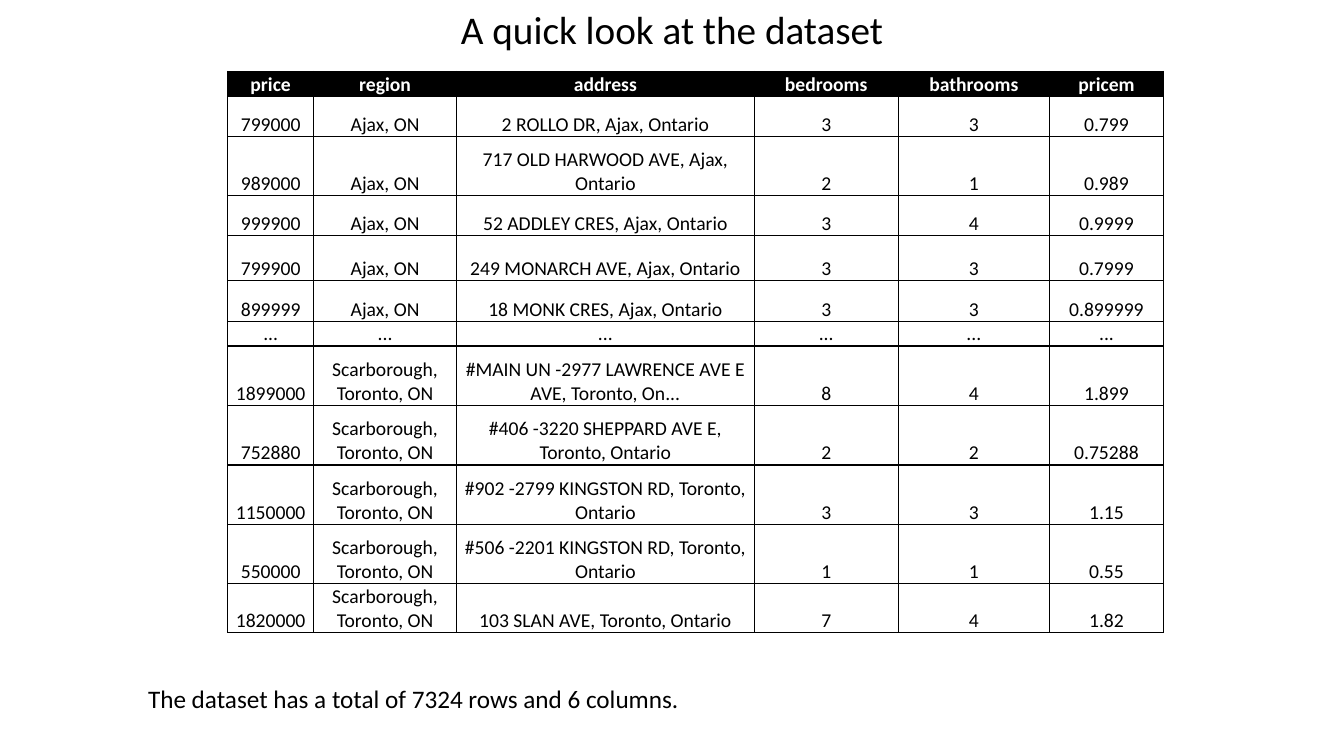
"""Build a slide that shows sample rows of a housing dataset in a table."""
from lxml import etree
from pptx import Presentation
from pptx import util as u
from pptx.dml.color import RGBColor
from pptx.enum import text
from pptx.oxml import ns

PX = 9144
BLACK, WHITE = "000000", "FFFFFF"
AJAX, SCAR = "Ajax, ON", "Scarborough, Toronto, ON"
CENTER = text.PP_ALIGN.CENTER


def hue(code):
    return RGBColor.from_string(code)


def write(frame, words, size, color=BLACK, bold=False, align=None):
    para = frame.paragraphs[0]
    para.alignment = align
    run = para.add_run()
    run.text = words
    form = {"name": "Calibri", "size": u.Pt(size), "bold": bold}
    for key, val in form.items():
        setattr(run.font, key, val)
    run.font.color.rgb = hue(color)


rows = [
    ("price", "region", "address", "bedrooms", "bathrooms", "pricem"),
    ("799000", AJAX, "2 ROLLO DR, Ajax, Ontario", "3", "3", "0.799"),
    ("989000", AJAX, "717 OLD HARWOOD AVE, Ajax, Ontario", "2", "1", "0.989"),
    ("999900", AJAX, "52 ADDLEY CRES, Ajax, Ontario", "3", "4", "0.9999"),
    ("799900", AJAX, "249 MONARCH AVE, Ajax, Ontario", "3", "3", "0.7999"),
    ("899999", AJAX, "18 MONK CRES, Ajax, Ontario", "3", "3", "0.899999"),
    ("...",) * 6,
    ("1899000", SCAR, "#MAIN UN -2977 LAWRENCE AVE E AVE, Toronto, On...", "8", "4", "1.899"),
    ("752880", SCAR, "#406 -3220 SHEPPARD AVE E, Toronto, Ontario", "2", "2", "0.75288"),
    ("1150000", SCAR, "#902 -2799 KINGSTON RD, Toronto, Ontario", "3", "3", "1.15"),
    ("550000", SCAR, "#506 -2201 KINGSTON RD, Toronto, Ontario", "1", "1", "0.55"),
    ("1820000", SCAR, "103 SLAN AVE, Toronto, Ontario", "7", "4", "1.82"),
]
widths = [85, 142, 295, 143, 150, 113]
heights = [22, 40, 58, 40, 45, 40, 22, 59, 59, 59, 59, 40]

deck = Presentation()
deck.slide_width, deck.slide_height = 1333 * PX, 750 * PX
slide = deck.slides.add_slide(deck.slide_layouts[5])

title = slide.shapes.title
place = {"left": 18, "top": 0, "width": 1297, "height": 57}
for key, val in place.items():
    setattr(title, key, val * PX)
title.text_frame.auto_size = text.MSO_AUTO_SIZE.NONE
title.text_frame.vertical_anchor = text.MSO_ANCHOR.TOP
write(title.text_frame, "A quick look at the dataset", 28, align=CENTER)

box = [n * PX for n in (226, 71, sum(widths), sum(heights))]
table = slide.shapes.add_table(len(rows), len(widths), *box).table
table.first_row = table.horz_banding = False
for col, wide in zip(table.columns, widths):
    col.width = wide * PX
for row, high in zip(table.rows, heights):
    row.height = high * PX

inset = {
    "margin_left": PX,
    "margin_right": PX,
    "margin_top": PX,
    "margin_bottom": 0,
    "vertical_anchor": text.MSO_ANCHOR.BOTTOM,
}
for r, line in enumerate(rows):
    for c, words in enumerate(line):
        cell = table.cell(r, c)
        for key, val in inset.items():
            setattr(cell, key, val)
        props = cell._tc.get_or_add_tcPr()
        for side in "LRTB":
            edge = etree.SubElement(props, ns.qn("a:ln" + side), w=str(u.Pt(1)))
            fill = etree.SubElement(edge, ns.qn("a:solidFill"))
            etree.SubElement(fill, ns.qn("a:srgbClr"), val=BLACK)
        head = r == 0
        if head:
            cell.fill.solid()
            cell.fill.fore_color.rgb = hue(BLACK)
        else:
            cell.fill.background()
        write(cell.text_frame, words, 14, WHITE if head else BLACK, head, CENTER)

note = slide.shapes.add_textbox(*[n * PX for n in (137, 673, 553, 40)])
note.text_frame.word_wrap = False
write(note.text_frame, "The dataset has a total of 7324 rows and 6 columns.", 18)

deck.save("out.pptx")
